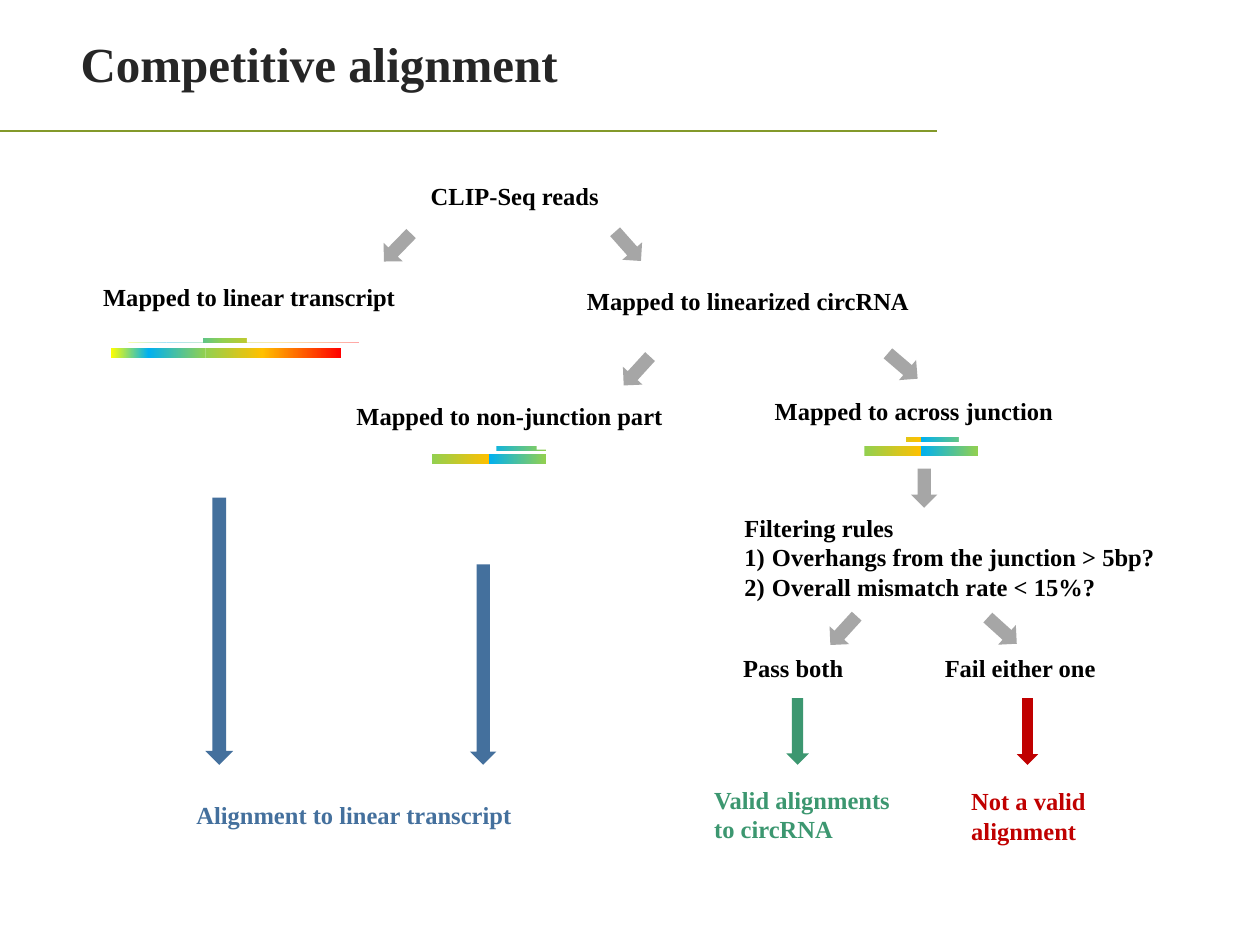
from dataclasses import dataclass

from lxml.etree import SubElement
from pptx import Presentation
from pptx.dml.color import RGBColor
from pptx.enum.shapes import MSO_CONNECTOR, MSO_SHAPE
from pptx.enum.text import MSO_ANCHOR, MSO_AUTO_SIZE, PP_ALIGN
from pptx.oxml.ns import qn
from pptx.util import Inches, Pt

FONT = "Times New Roman"
BLACK, WHITE, GRAY = "000000", "FFFFFF", "A6A6A6"
BLUE, GREEN, RED = "44709D", "3C9770", "C00000"


@dataclass
class Label:
    left: float
    top: float
    width: float
    height: float
    lines: list[str]
    color: str = BLACK
    wrap: bool = True
    numbered_from: int | None = None


@dataclass
class Arrow:
    left: float
    top: float
    width: float = 0.21
    height: float = 0.31
    rotation: float = 0
    color: str = GRAY


@dataclass
class Segment:
    width: float
    start: str
    end: str


@dataclass
class Strip:
    left: float
    top: float
    height: float
    segments: list[Segment]
    masks: tuple = ()  # left, top, width, height of the white covers


# Sequence parts: the same exons in linear and in back-spliced order
EXON_A = Segment(0.45, "00B0F0", "92D050")
EXON_B = Segment(0.45, "92D050", "FFC000")
CIRCULAR = [EXON_B, EXON_A]
LINEAR = [Segment(0.3, "FFFF00", "00B0F0"), EXON_A, EXON_B,
          Segment(0.63, "FFC000", "FF0000")]

# Each transcript bar is followed by the read mapped to it
STRIPS = [
    Strip(3.43, 3.6, 0.08, CIRCULAR),
    Strip(0.88, 2.76, 0.08, LINEAR),
    Strip(3.43, 3.54, 0.04, CIRCULAR,
          ((3.39, 3.53, 0.55, 0.06), (4.26, 3.53, 0.08, 0.04))),
    Strip(1.02, 2.68, 0.04, LINEAR,
          ((0.97, 2.67, 0.64, 0.05), (1.96, 2.67, 0.94, 0.05))),
    Strip(6.86, 3.54, 0.08, CIRCULAR),
    Strip(6.86, 3.47, 0.04, CIRCULAR,
          ((6.82, 3.46, 0.37, 0.06), (7.61, 3.46, 0.16, 0.06))),
]

ARROWS = [
    Arrow(3.05, 1.81, rotation=44.2),
    Arrow(4.88, 1.8, rotation=318.5),
    Arrow(4.95, 2.79, rotation=42.4),
    Arrow(7.06, 2.75, rotation=310.5),
    Arrow(7.23, 3.72),
    Arrow(6.59, 4.85, rotation=42.4),
    Arrow(7.85, 4.85, rotation=312.1),
    Arrow(1.63, 3.95, 0.22, 2.12, color=BLUE),
    Arrow(3.73, 4.48, 0.21, 1.59, color=BLUE),
    Arrow(6.24, 5.54, 0.18, 0.53, color=GREEN),
    Arrow(8.07, 5.54, 0.17, 0.53, color=RED),
]

LABELS = [
    Label(3.32, 1.39, 1.55, 0.34, ["CLIP-Seq reads"], wrap=False),
    Label(0.72, 2.19, 2.54, 0.34, ["Mapped to linear transcript"], wrap=False),
    Label(4.56, 2.22, 2.78, 0.34, ["Mapped to linearized circRNA"], wrap=False),
    Label(2.73, 3.13, 2.65, 0.34, ["Mapped to non-junction part"], wrap=False),
    Label(6.05, 3.09, 2.43, 0.34, ["Mapped to across junction"], wrap=False),
    Label(5.81, 4.02, 3.58, 0.81,
          ["Filtering rules", " Overhangs from the junction > 5bp?",
           " Overall mismatch rate < 15%?"], numbered_from=1),
    Label(5.8, 5.13, 1.07, 0.34, ["Pass both"]),
    Label(7.4, 5.13, 1.47, 0.34, ["Fail either one"]),
    Label(1.46, 6.3, 2.72, 0.34, ["Alignment to linear transcript"], BLUE),
    Label(5.57, 6.18, 1.6, 0.57, ["Valid alignments to circRNA"], GREEN),
    Label(7.61, 6.19, 1.26, 0.57, ["Not a valid alignment"], RED),
]


def rgb(color: str) -> RGBColor:
    return RGBColor.from_string(color)


def box(*lengths: float) -> list:
    return [Inches(length) for length in lengths]


def set_font(paragraph, size: float, color: str) -> None:
    font = paragraph.font
    font.name, font.size, font.bold = FONT, Pt(size), True
    font.color.rgb = rgb(color)


def add_plain_shape(slide, kind, bounds, color: str):
    shape = slide.shapes.add_shape(kind, *box(*bounds))
    shape.shadow.inherit = False
    shape.line.fill.background()
    shape.fill.solid()
    shape.fill.fore_color.rgb = rgb(color)
    return shape


def add_strip(slide, strip: Strip) -> None:
    left = strip.left
    for segment in strip.segments:
        bounds = (left, strip.top, segment.width, strip.height)
        bar = add_plain_shape(slide, MSO_SHAPE.RECTANGLE, bounds, segment.start)
        bar.fill.gradient()
        bar.fill.gradient_angle = 0
        for stop, color in zip(bar.fill.gradient_stops, (segment.start, segment.end)):
            stop.color.rgb = rgb(color)
        left += segment.width
    for mask in strip.masks:
        add_plain_shape(slide, MSO_SHAPE.RECTANGLE, mask, WHITE)


def add_arrow(slide, arrow: Arrow) -> None:
    bounds = (arrow.left, arrow.top, arrow.width, arrow.height)
    shape = add_plain_shape(slide, MSO_SHAPE.DOWN_ARROW, bounds, arrow.color)
    shape.rotation = arrow.rotation


def number_paragraph(paragraph) -> None:
    properties = paragraph._p.get_or_add_pPr()
    properties.set("marL", str(Inches(0.17)))
    properties.set("indent", str(-Inches(0.17)))
    numbering = properties.makeelement(qn("a:buAutoNum"), {"type": "arabicParenR"})
    properties.insert(0, numbering)


def add_label(slide, label: Label) -> None:
    textbox = slide.shapes.add_textbox(
        *box(label.left, label.top, label.width, label.height))
    frame = textbox.text_frame
    frame.word_wrap = label.wrap
    frame.auto_size = MSO_AUTO_SIZE.SHAPE_TO_FIT_TEXT
    frame.text = "\n".join(label.lines)
    for index, paragraph in enumerate(frame.paragraphs):
        set_font(paragraph, 14, label.color)
        if label.numbered_from is not None and index >= label.numbered_from:
            number_paragraph(paragraph)


def add_title(slide, text: str) -> None:
    title = slide.shapes.title
    title.left, title.top, title.width, title.height = box(0.54, 0.08, 6.89, 0.84)
    title.text_frame.text = text
    title.text_frame.vertical_anchor = MSO_ANCHOR.MIDDLE
    heading = title.text_frame.paragraphs[0]
    heading.alignment = PP_ALIGN.LEFT
    set_font(heading, 28, "262626")

    # Rule under the title
    rule = slide.shapes.add_connector(MSO_CONNECTOR.STRAIGHT, *box(0, 1.04, 7.44, 1.04))
    rule.line.color.rgb = rgb("83992A")
    rule.line.width = Pt(1.25)
    SubElement(rule._element.spPr, qn("a:effectLst"))


def main() -> None:
    presentation = Presentation()
    presentation.slide_width, presentation.slide_height = box(10, 7.5)
    slide = presentation.slides.add_slide(presentation.slide_layouts[5])

    add_title(slide, "Competitive alignment")
    for strip in STRIPS:
        add_strip(slide, strip)
    for arrow in ARROWS:
        add_arrow(slide, arrow)
    for label in LABELS:
        add_label(slide, label)

    presentation.save("out.pptx")


if __name__ == "__main__":
    main()
